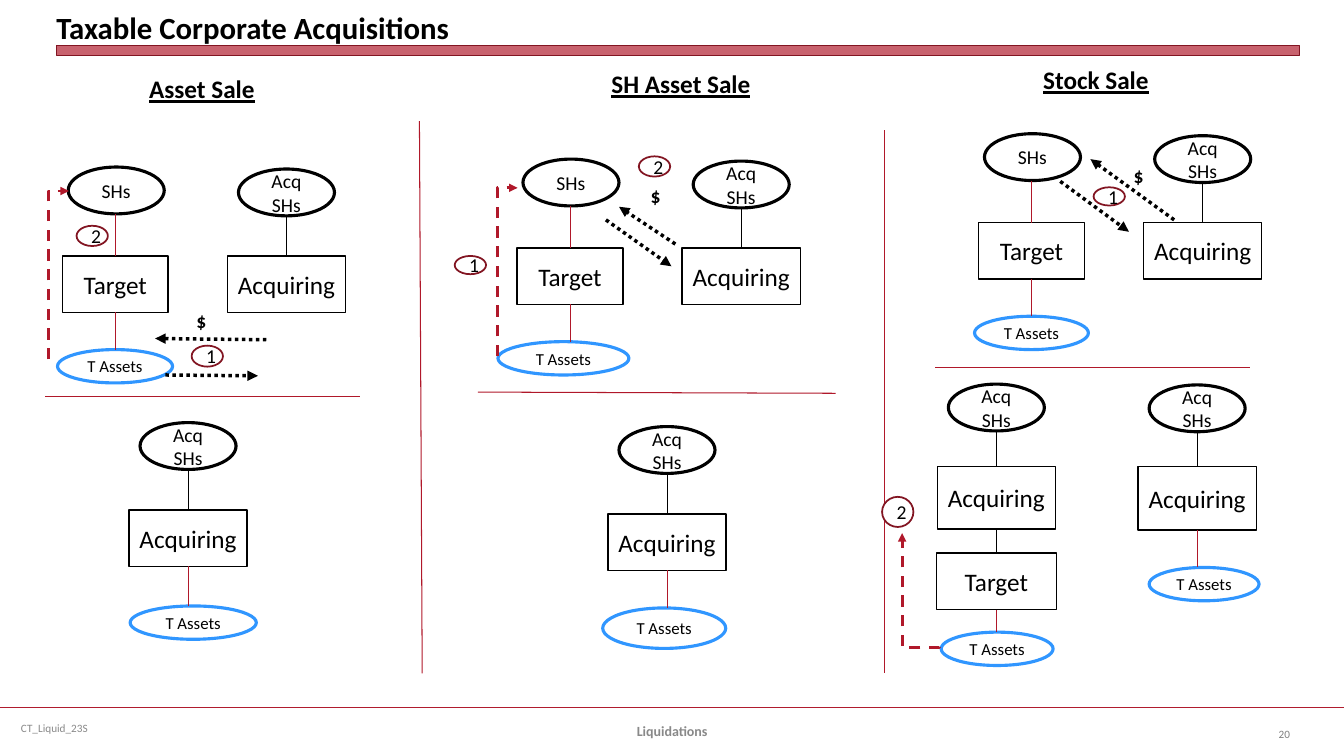
"""Builds the slide on taxable corporate acquisitions."""
from lxml import etree
from pptx import Presentation
from pptx import util as u
from pptx.dml.color import RGBColor
from pptx.enum import dml, shapes, text
from pptx.oxml.ns import qn

BLACK = RGBColor(0x00, 0x00, 0x00)
WHITE = RGBColor(0xFF, 0xFF, 0xFF)
RED = RGBColor(0xB0, 0x18, 0x2A)
BRAND = RGBColor(0xB0, 0x1C, 0x2E)
DARK = RGBColor(0x82, 0x15, 0x22)
BLUE = RGBColor(0x30, 0x96, 0xFF)
GREY = RGBColor(0x89, 0x89, 0x89)
MID = RGBColor(0x80, 0x80, 0x80)

RECT = shapes.MSO_SHAPE.RECTANGLE
OVAL = shapes.MSO_SHAPE.OVAL
STRAIGHT = shapes.MSO_CONNECTOR.STRAIGHT
ELBOW = shapes.MSO_CONNECTOR.ELBOW
LEFT, MIDDLE, RIGHT = text.PP_ALIGN.LEFT, text.PP_ALIGN.CENTER, text.PP_ALIGN.RIGHT
DOT, DASH = dml.MSO_LINE.ROUND_DOT, dml.MSO_LINE.DASH


def at(*vals):
    """Turn numbers in centimetres into lengths."""
    return [u.Cm(val) for val in vals]


def style(frame, size, color=BLACK, align=MIDDLE, bold=False, under=False):
    """Set the font and alignment of every paragraph."""
    for para in frame.paragraphs:
        para.alignment = align
        font = para.font
        font.name, font.size, font.bold = "Calibri", u.Pt(size), bold
        font.underline = under
        font.color.rgb = color


def node(slide, kind, box, words, size, edge, width, fill=None):
    """Draw a rectangle or oval with centred text."""
    shape = slide.shapes.add_shape(kind, *at(*box))
    shape.shadow.inherit = False
    if fill is None:
        shape.fill.background()
    else:
        shape.fill.solid()
        shape.fill.fore_color.rgb = fill
    shape.line.color.rgb = edge
    shape.line.width = u.Pt(width)
    frame = shape.text_frame
    frame.text = words
    frame.vertical_anchor = text.MSO_ANCHOR.MIDDLE
    style(frame, size)
    return shape


def firm(slide, words, x, y, w, h=1.42):
    """Draw a company box."""
    return node(slide, RECT, (x, y, w, h), words, 18, BLACK, 1)


def owner(slide, words, x, y):
    """Draw a shareholder oval."""
    return node(slide, OVAL, (x, y, 2.42, 1.18), words, 14, BLACK, 2.25)


def asset(slide, x, y, w, h=0.84):
    """Draw an oval for the target's assets."""
    return node(slide, OVAL, (x, y, w, h), "T Assets", 12, BLUE, 2.25)


def badge(slide, step, x, y, h):
    """Draw a numbered step."""
    node(slide, OVAL, (x, y, 0.79, h), step, 14, DARK, 1.25, WHITE)


def label(slide, words, box, size, anchor=text.MSO_ANCHOR.TOP, wrap=True, **look):
    """Write a text box."""
    frame = slide.shapes.add_textbox(*at(*box)).text_frame
    frame.text = words
    frame.word_wrap = wrap
    frame.vertical_anchor = anchor
    style(frame, size, **look)
    return frame


def line(slide, ends, color=RED, width=0.75, dash=None, kind=STRAIGHT):
    """Draw a connector, with an arrowhead when dashed."""
    link = slide.shapes.add_connector(kind, *ends)
    link.line.color.rgb = color
    link.line.width = u.Pt(width)
    props = link._element.spPr
    if dash is not None:
        link.line.dash_style = dash
        etree.SubElement(props.find(qn("a:ln")), qn("a:tailEnd"), type="triangle")
    etree.SubElement(props, qn("a:effectLst"))
    return link


def elbow(slide, ends, turn, preset, bend=None):
    """Draw a dashed bent arrow turned by some degrees."""
    props = line(slide, at(*ends), RED, 2, DASH, ELBOW)._element.spPr
    props.find(qn("a:xfrm")).set("rot", str(turn * 60000))
    geom = props.find(qn("a:prstGeom"))
    geom.set("prst", preset)
    if bend is not None:
        guides = geom.find(qn("a:avLst"))
        etree.SubElement(guides, qn("a:gd"), name="adj1", fmla=f"val {bend}")


def drop(slide, top, low, color):
    """Join two stacked nodes by a vertical line through the box."""
    box = top if top.auto_shape_type == RECT else low
    x = box.left + box.width // 2
    link = line(slide, (x, top.top + top.height, x, low.top), color)
    if top.auto_shape_type == RECT:
        link.begin_connect(top, 2)
    if low.auto_shape_type == RECT:
        link.end_connect(low, 0)


def before(slide, x, y, left, wide):
    """Draw target and acquirer side by side, with owners and assets."""
    target = firm(slide, "Target", x, y, 2.67)
    buyer = firm(slide, "Acquiring", x + 4.16, y, 2.98)
    drop(slide, owner(slide, "SHs", x + 0.15, y - 2.24), target, RED)
    drop(slide, target, asset(slide, left, y + 2.36, wide), RED)
    drop(slide, owner(slide, "Acq\nSHs", x + 4.44, y - 2.19), buyer, BLACK)


def after(slide, x, y, h, rise, pool, target=None):
    """Draw the acquirer's stack once the deal is done."""
    buyer = firm(slide, "Acquiring", x, y, 2.98, h)
    drop(slide, owner(slide, "Acq\nSHs", x + 0.28, y - rise), buyer, BLACK)
    if target:
        sub = firm(slide, "Target", *target)
        drop(slide, buyer, sub, BLACK)
        buyer = sub
    drop(slide, buyer, asset(slide, *pool), RED)


def frame(slide):
    """Draw the title, bar and footer."""
    mid = text.MSO_ANCHOR.MIDDLE
    line(slide, at(0, 17.83, 33.87, 17.83), BRAND, 1.25)
    bar = node(slide, RECT, (1.42, 1.14, 31.32, 0.25), "", 12, DARK, 0, BRAND)
    tint = bar._element.spPr.find(qn("a:solidFill"))[0]
    etree.SubElement(tint, qn("a:alpha"), val="69000")
    head = label(slide, "Taxable Corporate Acquisitions", (1.42, 0.13, 31.32, 1.02), 22,
                 text.MSO_ANCHOR.BOTTOM, align=LEFT, bold=True)
    head.margin_left = head.margin_right = head.margin_top = head.margin_bottom = 0
    label(slide, "CT_Liquid_23S", (0.28, 17.83, 8.74, 1.02), 8, mid, color=GREY, align=LEFT)
    label(slide, "Liquidations", (11.58, 17.91, 10.72, 1.02), 10, mid, color=GREY, bold=True)
    label(slide, "20", (31.06, 17.98, 1.7, 1.02), 8, mid, color=MID, align=RIGHT)


def main():
    """Build and save the slide."""
    deck = Presentation()
    deck.slide_width, deck.slide_height = at(33.87, 19.05)
    slide = deck.slides.add_slide(deck.slide_layouts[6])
    frame(slide)

    for words, x, y, w in (("Asset Sale", 3.51, 1.73, 3.2), ("SH Asset Sale", 15.16, 1.6, 4.19),
                           ("Stock Sale", 26.04, 1.5, 3.2)):
        label(slide, words, (x, y, w, 1.02), 18, wrap=False, align=LEFT, bold=True, under=True)

    for ends in ((10.57, 3.05, 10.64, 16.97), (22.3, 3.28, 22.3, 16.97), (1.14, 9.98, 9.07, 9.98),
                 (12.04, 9.88, 21.06, 9.91), (23.57, 9.25, 31.5, 9.25)):
        line(slide, at(*ends))

    before(slide, 1.57, 6.45, 1.45, 2.9)
    before(slide, 13.03, 6.25, 12.55, 3.3)
    before(slide, 24.66, 5.61, 24.56, 2.87)

    after(slide, 3.25, 12.85, 1.42, 2.2, (3.28, 15.27, 3.18))
    after(slide, 15.32, 12.95, 1.42, 2.2, (15.19, 15.32, 3.1, 1.02))
    after(slide, 23.62, 11.76, 1.57, 2.08, (23.72, 15.93, 2.82), (23.6, 13.94, 3.02))
    after(slide, 28.68, 11.76, 1.6, 2.06, (28.96, 14.3, 2.77))

    for ends in ((6.71, 8.56, 3.91, 8.53), (4.17, 9.45, 6.5, 9.47), (15.27, 5.54, 16.92, 6.71),
                 (17.02, 6.15, 15.6, 5.21), (26.72, 4.57, 28.45, 5.84), (29.59, 5.54, 27.48, 4.01)):
        line(slide, at(*ends), BLACK, 2.5, DOT)

    elbow(slide, (3.6, 7.19, -0.64, 6.68), 90, "bentConnector2")
    elbow(slide, (14.91, 7.11, 10.67, 6.6), 90, "bentConnector2")
    elbow(slide, (21.77, 15.34, 24.64, 14.4), 270, "bentConnector3", -600)

    for step, x, y, h in (("1", 4.83, 8.71, 0.53), ("2", 1.93, 5.69, 0.51), ("2", 16.1, 3.94, 0.51),
                          ("1", 11.46, 6.45, 0.46), ("1", 27.56, 4.72, 0.46), ("2", 22.23, 12.52, 0.76)):
        badge(slide, step, x, y, h)

    for x, y in ((4.7, 7.65), (16.15, 4.5), (28.32, 4.01)):
        label(slide, "$", (x, y, 0.76, 0.86), 14, wrap=False, align=LEFT, bold=True)

    deck.save("out.pptx")


if __name__ == "__main__":
    main()
